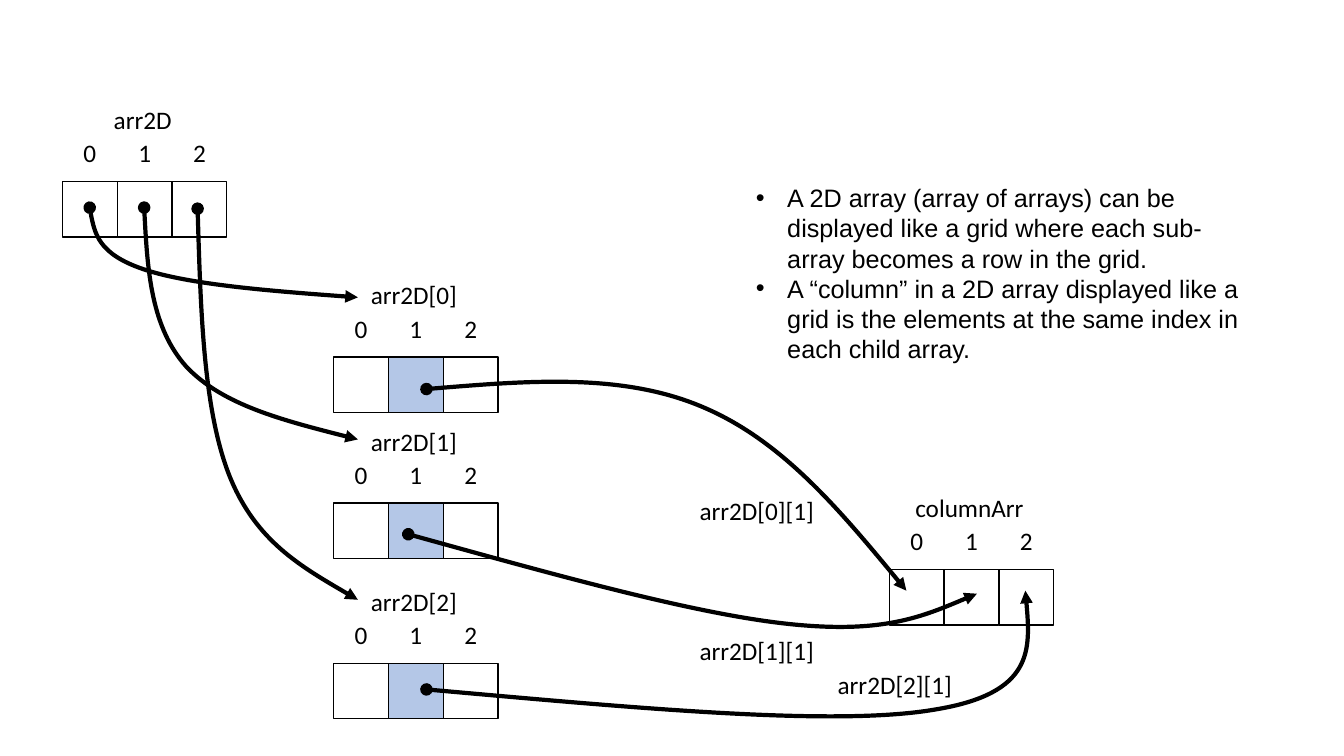
from dataclasses import dataclass

from pptx import Presentation
from pptx.dml.color import RGBColor
from pptx.enum.shapes import MSO_SHAPE
from pptx.enum.text import MSO_ANCHOR, PP_ALIGN
from pptx.oxml.ns import qn
from pptx.util import Inches, Pt
from lxml.etree import SubElement


@dataclass(frozen=True)
class Theme:
    ink: RGBColor = RGBColor(0x00, 0x00, 0x00)
    highlight: RGBColor = RGBColor(0xB4, 0xC7, 0xE7)
    label_font: str = "Calibri"
    body_font: str = "Arial"
    size: int = 18
    cell_line: int = 1
    arrow_line: int = 3


THEME = Theme()
CELL_W = 1.63 / 3
CELL_H = 0.55
LABEL_W = 1.59
INDEX_RISE = 0.56
NAME_RISE = 0.89

ARRAYS = [
    ("arr2D", 0.62, 1.8, None),
    ("arr2D[1]", 3.31, 4.99, 1),
    ("arr2D[2]", 3.31, 6.58, 1),
    ("arr2D[0]", 3.31, 3.54, 1),
]
ROW_ARROWS = [
    [(0.89, 2.06), (0.93, 2.29), (0.98, 2.52), (1.42, 2.67),
     (1.86, 2.82), (2.71, 2.89), (3.55, 2.95)],
    [(1.43, 2.06), (1.46, 2.66), (1.5, 3.25), (1.85, 3.64),
     (2.21, 4.02), (2.88, 4.19), (3.55, 4.36)],
    [(1.96, 2.07), (1.99, 3.08), (2.02, 4.08), (2.28, 4.73),
     (2.54, 5.37), (3.05, 5.66), (3.55, 5.95)],
]
COLUMN_ARROWS = [
    [(4.23, 3.86), (5.2, 3.78), (6.16, 3.7), (6.95, 4.03),
     (7.75, 4.36), (8.37, 5.11), (8.99, 5.86)],
    [(4.05, 5.3), (5.46, 5.69), (6.88, 6.09), (7.82, 6.19),
     (8.76, 6.29), (9.22, 6.09), (9.69, 5.89)],
    [(4.23, 6.84), (6.26, 7.02), (8.28, 7.21), (9.27, 7.04),
     (10.26, 6.88), (10.22, 6.37), (10.17, 5.86)],
]
ARROW_LABELS = [
    ("arr2D[0][1]", 6.71, 4.79),
    ("arr2D[1][1]", 6.71, 6.18),
    ("arr2D[2][1]", 8.08, 6.51),
]
NOTES = [
    "A 2D array (array of arrays) can be displayed like a grid where each "
    "sub-array becomes a row in the grid.",
    "A “column” in a 2D array displayed like a grid is the elements at the "
    "same index in each child array.",
]


def add_text(shapes, lines, x, y, w, h, font=THEME.label_font,
             align=PP_ALIGN.CENTER, anchor=MSO_ANCHOR.MIDDLE, bullet=False):
    box = shapes.add_textbox(Inches(x), Inches(y), Inches(w), Inches(h))
    tf = box.text_frame
    tf.word_wrap = True
    tf.vertical_anchor = anchor
    for i, line in enumerate(lines):
        p = tf.add_paragraph() if i else tf.paragraphs[0]
        p.alignment = align
        r = p.add_run()
        r.text = line
        r.font.name = font
        r.font.size = Pt(THEME.size)
        r.font.color.rgb = THEME.ink
        if bullet:
            add_bullet(p)


def add_bullet(p):
    pPr = p._p.get_or_add_pPr()
    pPr.set("marL", str(Inches(0.31)))
    pPr.set("indent", str(Inches(-0.31)))
    SubElement(pPr, qn("a:buFont"), typeface=THEME.body_font)
    SubElement(pPr, qn("a:buChar"), char="•")


def add_cell(shapes, x, y, filled):
    sp = shapes.add_shape(MSO_SHAPE.RECTANGLE, Inches(x), Inches(y),
                          Inches(CELL_W), Inches(CELL_H))
    sp.shadow.inherit = False
    if filled:
        sp.fill.solid()
        sp.fill.fore_color.rgb = THEME.highlight
    else:
        sp.fill.background()
    sp.line.color.rgb = THEME.ink
    sp.line.width = Pt(THEME.cell_line)


def add_array(s, name, x, y, marked=None):
    shapes = s.shapes.add_group_shape().shapes
    for i in range(3):
        left = x + i * CELL_W
        add_cell(shapes, left, y, i == marked)
        add_text(shapes, [str(i)], left, y - INDEX_RISE, CELL_W, CELL_H)
    add_text(shapes, [name], x, y - NAME_RISE, LABEL_W, CELL_H)


def add_curved_arrow(s, points):
    start, *rest = [(Inches(x), Inches(y)) for x, y in points]
    builder = s.shapes.build_freeform(*start)
    builder.add_line_segments(rest, close=False)
    sp = builder.convert_to_shape()
    segments = sp._element.xpath(".//a:lnTo")
    outline = segments[0].getparent()
    for i in range(0, len(segments), 3):
        curve = SubElement(outline, qn("a:cubicBezTo"))
        for segment in segments[i:i + 3]:
            curve.append(segment[0])
            outline.remove(segment)
    sp.shadow.inherit = False
    sp.fill.background()
    sp.line.color.rgb = THEME.ink
    sp.line.width = Pt(THEME.arrow_line)
    ln = sp.line._get_or_add_ln()
    SubElement(ln, qn("a:headEnd"), type="oval")
    SubElement(ln, qn("a:tailEnd"), type="triangle")


def main():
    prs = Presentation()
    prs.slide_width = Inches(13.33)
    prs.slide_height = Inches(7.5)
    s = prs.slides.add_slide(prs.slide_layouts[6])
    for name, x, y, marked in ARRAYS:
        add_array(s, name, x, y, marked)
    for points in ROW_ARROWS:
        add_curved_arrow(s, points)
    add_text(s.shapes, NOTES, 7.4, 1.76, 5.07, 1.92, font=THEME.body_font,
             align=PP_ALIGN.LEFT, anchor=MSO_ANCHOR.TOP, bullet=True)
    add_array(s, "columnArr", 8.82, 5.65)
    for points in COLUMN_ARROWS:
        add_curved_arrow(s, points)
    for label, x, y in ARROW_LABELS:
        add_text(s.shapes, [label], x, y, LABEL_W, CELL_H)
    prs.save("out.pptx")


main()
